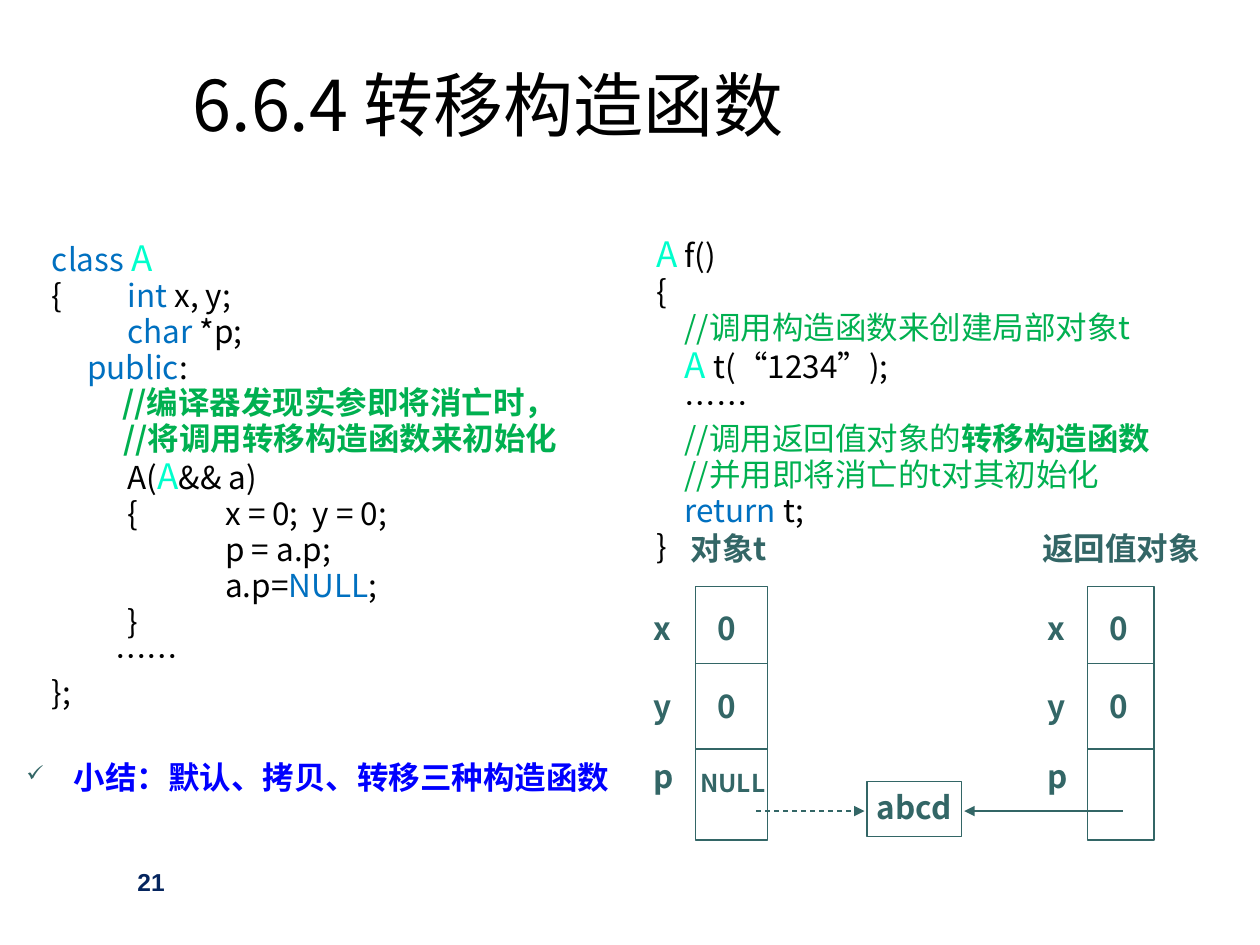
import pptx
import pptx.dml.color
import pptx.enum.dml
import pptx.enum.shapes
import pptx.enum.text
import pptx.oxml.ns
import pptx.util
from lxml import etree

Pt = pptx.util.Pt
qn = pptx.oxml.ns.qn

COLORS = {"black": "000000", "blue": "0070C0", "cyan": "00FFCC", "green": "00B050",
          "teal": "336666", "summary": "0000FF", "navy": "05255E"}
CJK = "Noto Sans CJK SC"

# Text styles: size, colour, bold
STYLES = {"title": (40, "black", False), "plain": (18, "black", False),
          "keyword": (18, "blue", False), "type": (20, "cyan", False),
          "note": (18, "green", False), "strong": (18, "green", True),
          "label": (18, "teal", True), "small": (14, "teal", True),
          "summary": (18, "summary", True), "number": (14, "navy", True)}


def rgb(name):
    return pptx.dml.color.RGBColor.from_string(COLORS[name])


class SlideBuilder:
    hanging = 27

    def __init__(self, slide):
        self.slide = slide

    def set_font(self, font, style):
        size, color, bold = STYLES[style]
        font.size, font.bold = Pt(size), bold
        font.color.rgb = rgb(color)

    def add_runs(self, paragraph, runs, face=CJK):
        """Fill a paragraph with (text, style) runs."""
        styles = {style for _, style in runs}
        paragraph.font.name = face
        if len(styles) == 1:
            self.set_font(paragraph.font, styles.pop())
        for text, style in runs:
            run = paragraph.add_run()
            run.text = text
            if styles:
                self.set_font(run.font, style)
        for latin in list(paragraph._p.iter(qn("a:latin"))):
            east_asian = etree.Element(qn("a:ea"), typeface=face)
            latin.addnext(east_asian)

    def place(self, shape, left, top, width, height):
        shape.left, shape.top = Pt(left), Pt(top)
        shape.width, shape.height = Pt(width), Pt(height)

    def title(self, text, *box):
        heading = self.slide.shapes.title
        self.place(heading, *box)
        heading.text_frame.vertical_anchor = pptx.enum.text.MSO_ANCHOR.MIDDLE
        paragraph = heading.text_frame.paragraphs[0]
        paragraph.alignment = pptx.enum.text.PP_ALIGN.LEFT
        self.add_runs(paragraph, [(text, "title")])

    def text_frame(self, *box):
        frame = self.slide.shapes.add_textbox(*map(Pt, box)).text_frame
        frame.word_wrap = True
        return frame

    def label(self, text, left, top, width, style="label", face=CJK):
        frame = self.text_frame(left, top, width, 29)
        self.add_runs(frame.paragraphs[0], [(text, style)], face)

    def hang(self, paragraph):
        """Give a paragraph its hanging indent and tight lines."""
        properties = paragraph._p.get_or_add_pPr()
        properties.set("marL", str(Pt(self.hanging)))
        properties.set("indent", str(-Pt(self.hanging)))
        properties.set("defTabSz", str(Pt(72)))
        paragraph.line_spacing = 0.9
        return properties

    def code(self, frame, lines):
        frame.auto_size = pptx.enum.text.MSO_AUTO_SIZE.NONE
        for index, runs in enumerate(lines):
            paragraph = frame.add_paragraph() if index else frame.paragraphs[0]
            properties = self.hang(paragraph)
            paragraph.space_before = Pt(1 if index else 0)
            etree.SubElement(properties, qn("a:buNone"))
            self.add_runs(paragraph, runs)

    def bullet(self, text, *box):
        paragraph = self.text_frame(*box).paragraphs[0]
        properties = self.hang(paragraph)
        color = etree.SubElement(properties, qn("a:buClr"))
        etree.SubElement(color, qn("a:srgbClr"), val=COLORS["teal"])
        etree.SubElement(properties, qn("a:buSzPct"), val="70000")
        etree.SubElement(properties, qn("a:buChar"), char="✓")
        self.add_runs(paragraph, [(text, "summary")])

    def rectangle(self, *box):
        kind = pptx.enum.shapes.MSO_SHAPE.RECTANGLE
        cell = self.slide.shapes.add_shape(kind, *map(Pt, box))
        cell.shadow.inherit = False
        cell.fill.background()
        cell.line.color.rgb = rgb("teal")
        cell.line.width = Pt(0.75)

    def line(self, start, end, y, arrow=False, dashed=False):
        kind = pptx.enum.shapes.MSO_CONNECTOR.STRAIGHT
        rule = self.slide.shapes.add_connector(kind, Pt(start), Pt(y), Pt(end), Pt(y))
        rule.line.color.rgb = rgb("teal")
        rule.line.width = Pt(0.75)
        if dashed:
            rule.line.dash_style = pptx.enum.dml.MSO_LINE.DASH
        properties = rule._element.spPr
        if arrow:
            outline = properties.find(qn("a:ln"))
            etree.SubElement(outline, qn("a:tailEnd"), type="triangle")
        etree.SubElement(properties, qn("a:effectLst"))

    def memory(self, left, width, label_left, value_left):
        """Draw one object with its members x, y and p."""
        self.rectangle(left, 335, width, 145)
        for divider in (379, 428):
            self.line(left, left + width, divider)
        for member, top in (("x", 344.5), ("y", 389), ("p", 429)):
            self.label(member, label_left, top, 26)
            if member != "p":
                self.label("0", value_left, top, 26)


CLASS_CODE = [
    [("class ", "keyword"), ("A", "type")],
    [("{\t    ", "plain"), ("int", "keyword"), (" x, y;", "plain")],
    [("\t    ", "plain"), ("char", "keyword"), (" *p;", "plain")],
    [("     ", "plain"), ("public", "keyword"), (":", "plain")],
    [("          ", "plain"), ("//编译器发现实参即将消亡时，", "strong")],
    [("          //将调用转移构造函数来初始化", "strong")],
    [("\t    A(", "plain"), ("A", "type"), ("&& a)", "plain")],
    [("\t    {\tx = 0;  y = 0;", "plain")],
    [("\t\tp = a.p;", "plain")],
    [("\t\ta.p=", "plain"), ("NULL", "keyword"), (";", "plain")],
    [("\t    }", "plain")],
    [("         ……", "plain")],
    [("};", "plain")],
]

FUNCTION_CODE = [
    [("A", "type"), (" f()", "plain")],
    [("{", "plain")],
    [("    //调用构造函数来创建局部对象t", "note")],
    [("    ", "plain"), ("A ", "type"), ("t(“1234”);", "plain")],
    [("    ……", "plain")],
    [("    //调用返回值对象的", "note"), ("转移构造函数", "strong")],
    [("    //并用即将消亡的t对其初始化", "note")],
    [("    ", "plain"), ("return", "keyword"), (" t;", "plain")],
    [("}", "plain")],
]


def main():
    deck = pptx.Presentation()
    deck.slide_width, deck.slide_height = Pt(720), Pt(540)
    slide = deck.slides.add_slide(deck.slide_layouts[1])
    builder = SlideBuilder(slide)

    # Title and code listings
    builder.title("6.6.4 转移构造函数", 103, -1, 552, 120)
    class_listing = slide.placeholders[1]
    builder.place(class_listing, 22.5, 134, 323, 271)
    builder.code(class_listing.text_frame, CLASS_CODE)
    builder.code(builder.text_frame(368, 132, 329, 212), FUNCTION_CODE)

    # Local object t and the returned object
    builder.memory(397.5, 41, 366.5, 403)
    builder.memory(621.5, 38, 591.5, 627)
    builder.label("对象t", 387.5, 298.5, 63)
    builder.label("返回值对象", 588.5, 298.5, 107)
    builder.label("NULL", 393, 435.5, 57, "small")

    # Shared string and the pointers to it
    builder.rectangle(495.5, 446.5, 54, 31.5)
    builder.label("abcd", 494, 446.5, 60)
    builder.line(432, 494, 463.5, arrow=True, dashed=True)
    builder.line(641.5, 551, 463.5, arrow=True)

    # Summary and slide number
    builder.bullet("小结：默认、拷贝、转移三种构造函数", 8, 432, 355, 29)
    builder.label("21", 71.5, 492, 150, "number", "Arial")

    deck.save("out.pptx")


if __name__ == "__main__":
    main()
